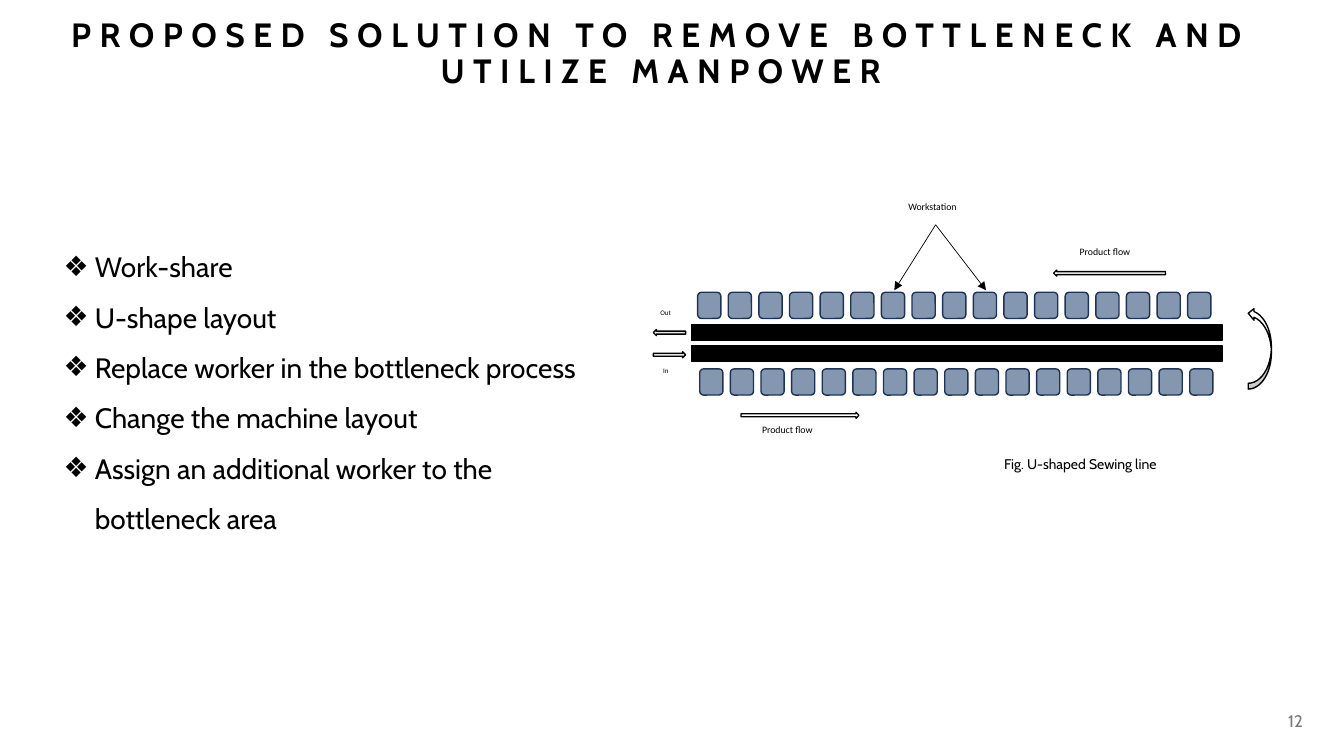
from lxml import etree
from pptx import Presentation
from pptx.dml.color import RGBColor
from pptx.enum import shapes, text
from pptx.oxml.ns import qn
from pptx.util import Inches, Pt

SHAPE = shapes.MSO_SHAPE
ALIGN = text.PP_ALIGN
STATIONS = 17
BULLETS = [
    "Work-share",
    "U-shape layout",
    "Replace worker in the bottleneck process",
    "Change the machine layout",
    "Assign an additional worker to the bottleneck area",
]


def color(value):
    return RGBColor.from_string(value)


def style(p, size, font="Cabin", ink="000000", bold=False, align=ALIGN.LEFT):
    p.alignment = align
    for r in p.runs:
        r.font.size = Pt(size)
        r.font.name = font
        r.font.bold = bold
        r.font.color.rgb = color(ink)


def place(sp, x, y, w, h):
    sp.left, sp.top, sp.width, sp.height = map(Inches, (x, y, w, h))


def add_title(s, x, y, w, h):
    sp = s.shapes.title
    place(sp, x, y, w, h)
    tf = sp.text_frame
    tf.text = "PROPOSED SOLUTION TO REMOVE BOTTLENECK AND UTILIZE MANPOWER"
    tf.auto_size = text.MSO_AUTO_SIZE.NONE
    tf.vertical_anchor = text.MSO_ANCHOR.TOP
    p = tf.paragraphs[0]
    p.line_spacing = 0.9
    style(p, 24, bold=True, align=ALIGN.CENTER)
    p.runs[0].font._element.set("spc", "600")


def add_bullets(s, x, y, w, h):
    sp = s.placeholders[1]
    place(sp, x, y, w, h)
    tf = sp.text_frame
    tf.text = "\n".join(BULLETS)
    tf.auto_size = text.MSO_AUTO_SIZE.NONE
    for p in tf.paragraphs:
        p.line_spacing = 1.5
        p.space_before = Pt(0)
        pPr = p._p.get_or_add_pPr()
        pPr.set("marL", str(Inches(0.31)))
        pPr.set("indent", str(-Inches(0.31)))
        etree.SubElement(pPr, qn("a:buChar"), char="❖")
        style(p, 20)


def add_text(parent, words, x, y, w, h, size, **look):
    sp = parent.add_textbox(*map(Inches, (x, y, w, h)))
    tf = sp.text_frame
    tf.word_wrap = True
    tf.text = words
    style(tf.paragraphs[0], size, **look)
    return tf


def add_block(parent, kind, x, y, w, h, fill, line="000000", weight=1):
    sp = parent.add_shape(kind, *map(Inches, (x, y, w, h)))
    sp.shadow.inherit = False
    sp.fill.solid()
    sp.fill.fore_color.rgb = color(fill)
    sp.line.color.rgb = color(line)
    sp.line.width = Pt(weight)
    return sp


def add_label(parent, words, x, y, w, h, size):
    sp = add_block(parent, SHAPE.RECTANGLE, x, y, w, h, "FFFFFF", "FFFFFF", 0.75)
    tf = sp.text_frame
    tf.vertical_anchor = text.MSO_ANCHOR.TOP
    tf.text = words
    p = tf.paragraphs[0]
    p.line_spacing = 1.07
    p.space_after = Pt(8)
    style(p, size, font="Calibri")


def add_pointer(parent, x1, y1, x2, y2):
    line = parent.add_connector(shapes.MSO_CONNECTOR.STRAIGHT,
                                *map(Inches, (x1, y1, x2, y2)))
    line.line.color.rgb = color("000000")
    line.line.width = Pt(0.5)
    etree.SubElement(line.line._get_or_add_ln(), qn("a:tailEnd"), type="triangle")
    etree.SubElement(line._element.spPr, qn("a:effectLst"))


def add_sewing_line(s, x, y, w, h):
    group = s.shapes.add_group_shape().shapes
    for dy in (1.29, 1.5):
        add_block(group, SHAPE.RECTANGLE, x + 0.41, y + dy, w - 0.9, 0.16, "000000")

    pitch = 4.86 / (STATIONS - 1)
    for dx, dy in ((0.47, 0.97), (0.49, 1.73)):
        for i in range(STATIONS):
            add_block(group, SHAPE.ROUNDED_RECTANGLE, x + dx + i * pitch, y + dy,
                      0.23, 0.26, "8497B0", "1E3256")

    for dx in (2.42, 3.33):
        add_pointer(group, x + 2.83, y + 0.3, x + dx, y + 0.95)

    turn = add_block(group, SHAPE.CURVED_RIGHT_ARROW, x + w - 0.23, y + 1.12,
                     0.23, 0.81, "FFFFFF")
    turn.rotation = 180

    for kind, dx, dy, length, fill in (
        (SHAPE.LEFT_ARROW, 4, 0.75, 1.11, "FFFFFF"),
        (SHAPE.RIGHT_ARROW, 0.9, 2.16, 1.17, "FFFFFF"),
        (SHAPE.RIGHT_ARROW, 0.03, 1.56, 0.32, "E7E6E6"),
        (SHAPE.LEFT_ARROW, 0.03, 1.34, 0.32, "E7E6E6"),
    ):
        add_block(group, kind, x + dx, y + dy, length, 0.06, fill)

    for words, dx, dy, width, height, size in (
        ("Workstation", 2.46, 0, 0.81, 0.29, 7),
        ("Product flow", 4.16, 0.45, 0.81, 0.29, 7),
        ("Product flow", 1.01, 2.22, 0.81, 0.29, 7),
        ("In", 0.03, 1.65, 0.34, 0.24, 5),
        ("Out", 0, 1.08, 0.38, 0.24, 5),
    ):
        add_label(group, words, x + dx, y + dy, width, height, size)

    add_text(group, "Fig. U-shaped Sewing line", x + 3.41, y + h - 0.34, 2.35, 0.34, 10)


def add_page_number(s, x, y, w, h):
    tf = add_text(s.shapes, "12", x, y, w, h, 12, ink="797979", align=ALIGN.RIGHT)
    tf.vertical_anchor = text.MSO_ANCHOR.MIDDLE


def main():
    prs = Presentation()
    prs.slide_width, prs.slide_height = Inches(13.33), Inches(7.5)
    s = prs.slides.add_slide(prs.slide_layouts[1])
    add_title(s, 0, 0.13, 13.11, 0.83)
    add_bullets(s, 0.53, 2.26, 5.72, 3.08)
    add_sewing_line(s, 6.45, 1.93, 6.16, 2.88)
    add_page_number(s, 10.02, 6.95, 3, 0.4)
    prs.save("out.pptx")


if __name__ == "__main__":
    main()
